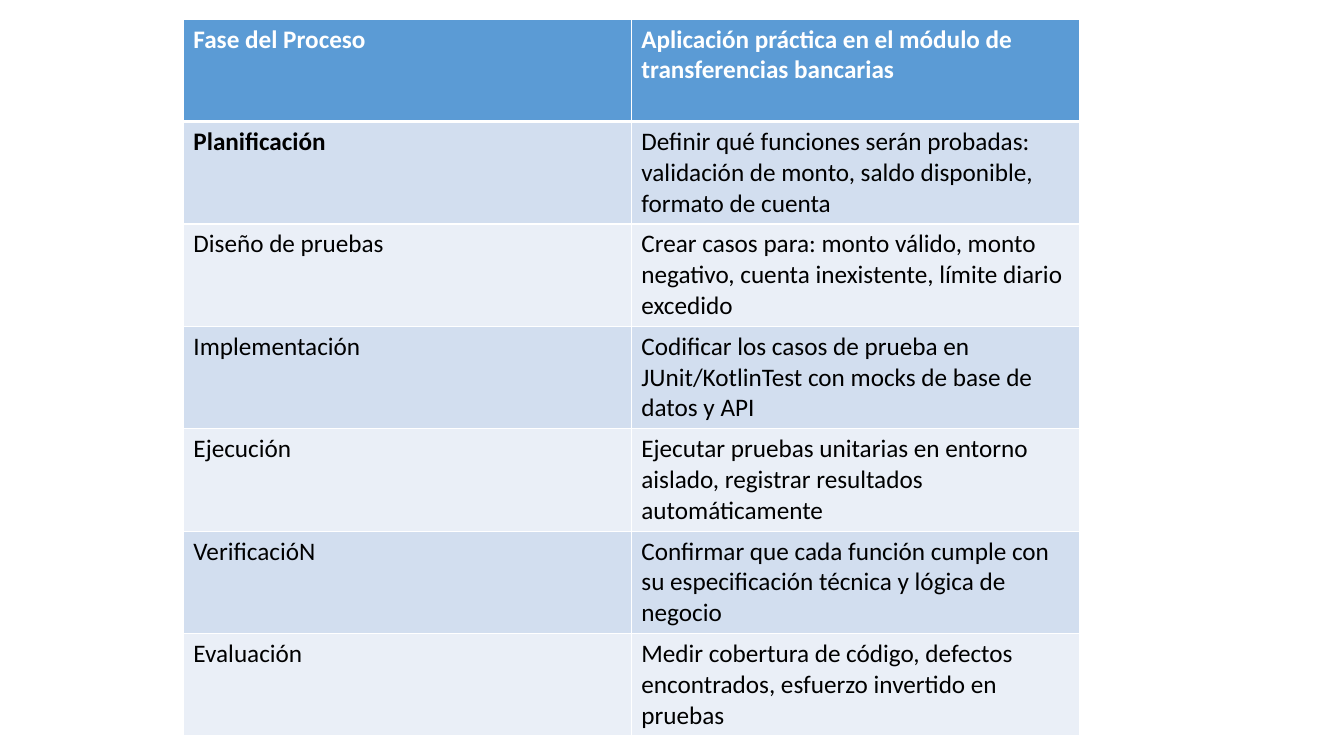
from lxml import etree
from pptx import Presentation
from pptx.dml.color import RGBColor
from pptx.oxml.ns import qn
from pptx.util import Pt

HEADER = ("Fase del Proceso", "Aplicación práctica en el módulo de transferencias bancarias")
PHASES = [
    ("Planificación", "Definir qué funciones serán probadas: validación de monto, saldo disponible, formato de cuenta"),
    ("Diseño de pruebas", "Crear casos para: monto válido, monto negativo, cuenta inexistente, límite diario excedido"),
    ("Implementación", "Codificar los casos de prueba en JUnit/KotlinTest con mocks de base de datos y API"),
    ("Ejecución", "Ejecutar pruebas unitarias en entorno aislado, registrar resultados automáticamente"),
    ("VerificacióN", "Confirmar que cada función cumple con su especificación técnica y lógica de negocio"),
    ("Evaluación", "Medir cobertura de código, defectos encontrados, esfuerzo invertido en pruebas"),
]
BOLD_PHASE = "Planificación"
COLORS = {"header": "5B9BD5", "odd": "D2DEEF", "even": "EAEFF7", "white": "FFFFFF", "text": "000000"}
FONT, FONT_SIZE = "Calibri", 18
LEFT, TOP = 131, 13.7
COLUMN_WIDTH, ROW_HEIGHT = 320, 73.15
THIN, THICK = 1, 3


def set_borders(cell, top, bottom):
    properties = cell._tc.get_or_add_tcPr()
    for side, width in (("L", THIN), ("R", THIN), ("T", top), ("B", bottom)):
        line = etree.SubElement(properties, qn(f"a:ln{side}"), w=str(Pt(width)))
        fill = etree.SubElement(line, qn("a:solidFill"))
        etree.SubElement(fill, qn("a:srgbClr"), val=COLORS["white"])


def format_cell(cell, text, fill, color, bold):
    cell.fill.solid()
    cell.fill.fore_color.rgb = RGBColor.from_string(COLORS[fill])
    cell.text = text
    font = cell.text_frame.paragraphs[0].runs[0].font
    font.name, font.size, font.bold = FONT, Pt(FONT_SIZE), bold
    font.color.rgb = RGBColor.from_string(COLORS[color])


def main():
    deck = Presentation()
    deck.slide_width, deck.slide_height = Pt(960), Pt(540)
    page = deck.slides.add_slide(deck.slide_layouts[6])

    rows = [HEADER, *PHASES]
    table = page.shapes.add_table(
        len(rows), len(HEADER), Pt(LEFT), Pt(TOP),
        Pt(COLUMN_WIDTH * len(HEADER)), Pt(ROW_HEIGHT * len(rows)),
    ).table
    for column in table.columns:
        column.width = Pt(COLUMN_WIDTH)

    for row_index, texts in enumerate(rows):
        table.rows[row_index].height = Pt(ROW_HEIGHT)
        is_header = row_index == 0
        fill = "header" if is_header else "odd" if row_index % 2 else "even"
        for column_index, text in enumerate(texts):
            cell = table.cell(row_index, column_index)
            set_borders(cell, THICK if row_index == 1 else THIN, THICK if is_header else THIN)
            format_cell(cell, text, fill, "white" if is_header else "text",
                        is_header or text == BOLD_PHASE)

    deck.save("out.pptx")


if __name__ == "__main__":
    main()
